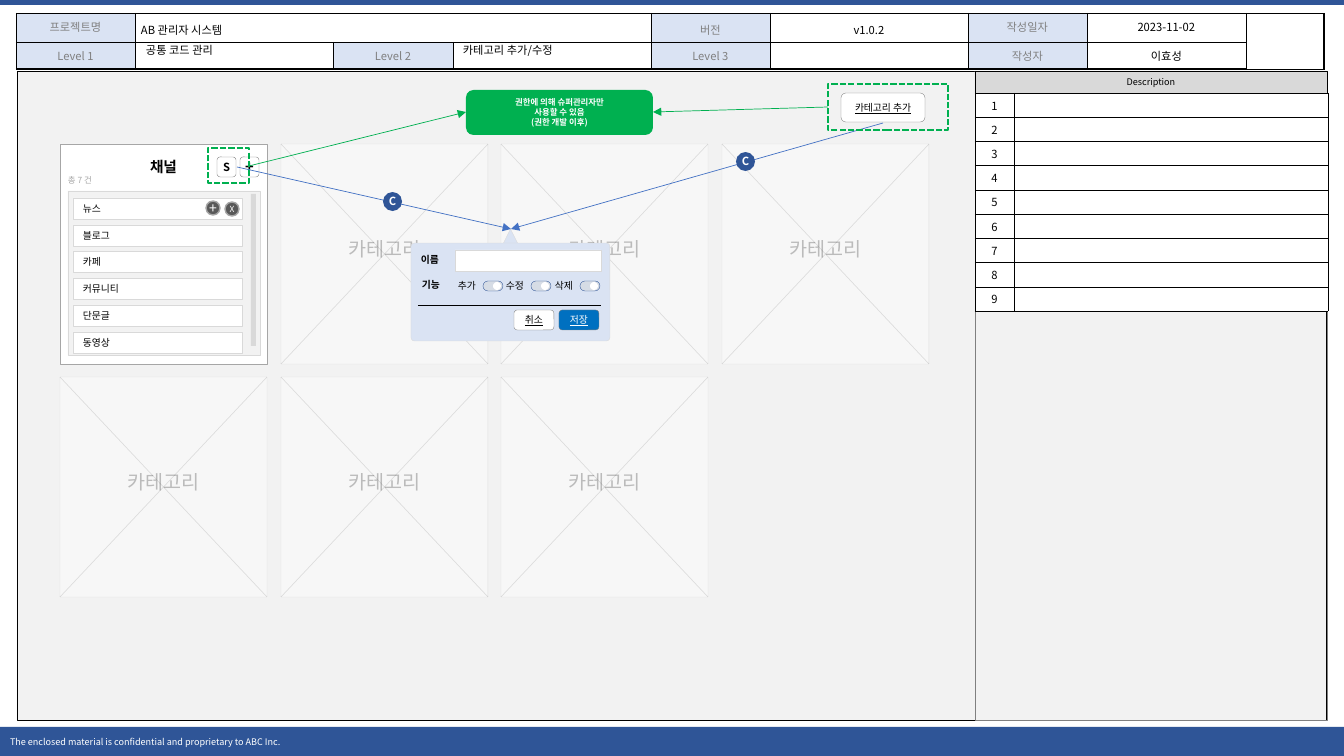
import pptx
import pptx.dml.color
import pptx.enum.dml
import pptx.enum.shapes
import pptx.enum.text
import pptx.oxml
import pptx.oxml.ns
import pptx.util
from lxml import etree

PX = 9071  # EMU in one px; the slide is 1344 x 756 px
FONT = "Noto Sans CJK KR"
qn = pptx.oxml.ns.qn
Pt = pptx.util.Pt
ALIGN = pptx.enum.text.PP_ALIGN
ANCHOR = pptx.enum.text.MSO_ANCHOR
PRESET = pptx.enum.shapes.MSO_SHAPE


def paint(fill, colour):
    """Fill with RRGGBB or RRGGBBAA; None leaves it empty."""
    if colour is None:
        fill.background()
        return
    fill.solid()
    fill.fore_color.rgb = pptx.dml.color.RGBColor.from_string(colour[:6])
    if len(colour) == 8:
        alpha = etree.SubElement(fill._xPr.find(".//" + qn("a:srgbClr")), qn("a:alpha"))
        alpha.set("val", str(round(int(colour[6:], 16) / 255 * 100) * 1000))


def write(frame, text, size, colour="000000", align=ALIGN.CENTER, anchor=ANCHOR.MIDDLE,
          inset=(4, 4), wrap=False, spacing=1.0, **font_format):
    side, end = inset[0] * PX, inset[1] * PX
    frame_format = dict(text=text, word_wrap=wrap, vertical_anchor=anchor, margin_left=side,
                        margin_right=side, margin_top=end, margin_bottom=end)
    for name, value in frame_format.items():
        setattr(frame, name, value)
    for paragraph in frame.paragraphs:
        paragraph.alignment = align
        paragraph.line_spacing = spacing
        if not text:
            etree.SubElement(paragraph._p, qn("a:endParaRPr"), sz=str(size * 100))
        for run in paragraph.runs:
            for name, value in dict(font_format, size=Pt(size), name=FONT).items():
                setattr(run.font, name, value)
            paint(run.font.fill, colour)
            etree.SubElement(run.font._element if hasattr(run.font, "_element") else run._r.rPr,
                             qn("a:ea"), typeface=FONT)


presentation = pptx.Presentation()
presentation.slide_width = 1344 * PX
presentation.slide_height = 756 * PX
slide = presentation.slides.add_slide(presentation.slide_layouts[6])

# Shared styles
KINDS = {"rect": (PRESET.RECTANGLE, None), "oval": (PRESET.OVAL, None),
         "triangle": (PRESET.ISOSCELES_TRIANGLE, None),
         "round": (PRESET.ROUNDED_RECTANGLE, 0.167),
         "panel": (PRESET.ROUNDED_RECTANGLE, 0.037), "pill": (PRESET.ROUNDED_RECTANGLE, 0.5)}
BLACK, GREY, PALE = ("000000", 0.25), ("808080", 0.25), ("D9D9D9", 0.25)
DASHED, GREEN, BLUE = ("00B050", 1.5, "dash"), ("00B050", 0.5), ("4472C4", 0.5)
LEFT = dict(align=ALIGN.LEFT, inset=(10, 5))
LABEL = dict(LEFT, size=7, anchor=ANCHOR.TOP)
BUTTON = dict(size=7, underline=True)
BADGE = dict(size=8, colour="FFFFFF", bold=True, inset=(0, 0))

# Page frame: (kind, bounds, fill, line, text, style), back to front
elements = [
    ("rect", (0, 0, 1344, 5), "2F5597", None),
    ("rect", (0, 727, 1344, 29), "2F5597", None,
     "The enclosed material is confidential and proprietary to ABC Inc.",
     dict(LEFT, size=6.5, colour="FFFFFF")),
    ("rect", (17, 71, 1309, 649), "F2F2F2", BLACK),
    ("rect", (975, 71, 352, 649), None, GREY),
    ("rect", (975, 71, 352, 22), "D9D9D9", BLACK, "Description", dict(size=6.5)),
]
for left, level in ((136, "공통 코드 관리"), (453, "카테고리 추가/수정")):
    elements.append(("text", (left, 39, 199, 24), None, None, level,
                     dict(LEFT, size=8, spacing=0.9)))

# Empty category cards on a 4 x 2 grid
for row, column in ((0, 1), (0, 2), (0, 3), (1, 0), (1, 1), (1, 2)):
    x, y = 60 + (441 * column + 1) // 2, 144 + 233 * row
    elements += [
        ("rect", (x, y, 207, 220), "FFFFFF6E", ("0000001A", 0.25)),
        ("line", (x, y, x + 207, y + 220), None, ("0000001A", 0.5)),
        ("line", (x, y + 220, x + 207, y), None, ("0000001A", 0.5)),
        ("text", (x + 57, y + 89, 93, 32), None, None, "카테고리",
         dict(size=14, colour="0000003D", anchor=ANCHOR.TOP)),
    ]

# Add button and the dialog it opens
elements += [
    ("round", (841, 93, 84, 29), "FFFFFF", GREY, "카테고리 추가", BUTTON),
    ("arrow", (883, 123, 511, 229), None, BLUE),
    ("triangle", (501, 229, 19, 19), "DAE3F3", PALE),
    ("panel", (411, 243, 199, 98), "DAE3F3", PALE),
    ("line", (418, 305, 601, 305), None, ("000000", 0.5)),
    ("round", (559, 310, 40, 20), "0070C0", GREY, "저장", dict(BUTTON, colour="FFFFFF")),
    ("round", (514, 310, 40, 20), "FFFFFF", GREY, "취소", BUTTON),
    ("rect", (455, 250, 146, 21), "FFFFFF", PALE),
    ("text", (411, 249, 40, 22), None, None, "이름", dict(LABEL, bold=True)),
    ("text", (412, 274, 40, 22), None, None, "기능", dict(LABEL, bold=True)),
    ("oval", (736, 152, 19, 19), "2F5597", None, "C", BADGE),
]
for index, permission in enumerate(("추가", "수정", "삭제")):
    x = 483 + 97 * index // 2
    elements += [
        ("pill", (x, 281, 20, 10), "D6DCE5", ("2F5597", 0.25)),
        ("pill", (x + 10, 282, 8, 8), "FFFFFF", None),
        ("text", (x - 35, 275, 40, 22), None, None, permission, LABEL),
    ]

# Permission note and channel card
elements += [
    ("round", (466, 90, 187, 45), "00B050", None,
     "권한에 의해 슈퍼관리자만\n사용할 수 있음\v(권한 개발 이후)", dict(BADGE, size=6)),
    ("rect", (828, 84, 120, 46), None, DASHED),
    ("rect", (60, 144, 207, 220), "FFFFFF", ("A6A6A6", 0.25)),
    ("text", (96, 153, 135, 28), None, None, "채널",
     dict(size=10.5, bold=True, inset=(10, 5), anchor=ANCHOR.TOP)),
    ("rect", (68, 191, 192, 164), "F2F2F2", PALE),
    ("rect", (251, 194, 5, 152), "D9D9D9", None),
]
for index, channel in enumerate(("뉴스", "블로그", "카페", "커뮤니티", "단문글", "동영상")):
    elements.append(("rect", (73, round(198 + 26.7 * index), 169, 21), "FFFFFF", PALE,
                     channel, dict(LEFT, size=7)))
elements += [
    ("text", (58, 170, 50, 20), None, None, "총 7 건", dict(LABEL, size=6, colour="A6A6A6")),
    ("round", (240, 157, 19, 20), "FFFFFF", GREY, "+", dict(size=10.5, bold=True)),
    ("oval", (225, 202, 14, 14), "595959", ("A6A6A6", 1), "X",
     dict(size=6, colour="FFFFFF", inset=(0, 0))),
    ("oval", (206, 201, 14, 14), "595959", ("A6A6A6", 1), "+",
     dict(size=10, colour="FFFFFF", inset=(0, 0))),
    ("round", (217, 157, 19, 20), "FFFFFF", GREY, "S", dict(size=8, bold=True)),
    ("rect", (208, 148, 41, 35), None, DASHED),
    ("arrow", (249, 166, 466, 112), None, GREEN),
    ("arrow", (237, 167, 511, 229), None, BLUE),
    ("oval", (383, 192, 19, 19), "2F5597", None, "C", BADGE),
    ("arrow", (828, 107, 653, 112), None, GREEN),
]

# Draw the shapes
for kind, bounds, fill, line, *content in elements:
    bounds = [length * PX for length in bounds]
    if kind in ("line", "arrow"):
        shape = slide.shapes.add_connector(pptx.enum.shapes.MSO_CONNECTOR.STRAIGHT, *bounds)
    elif kind == "text":
        shape = slide.shapes.add_textbox(*bounds)
    else:
        preset, corner = KINDS[kind]
        shape = slide.shapes.add_shape(preset, *bounds)
        shape.shadow.inherit = False
        if corner:
            shape.adjustments[0] = corner
        paint(shape.fill, fill)
    paint(shape.line.fill, line and line[0])
    if line:
        shape.line.width = Pt(line[1])
        if "dash" in line:
            shape.line.dash_style = pptx.enum.dml.MSO_LINE.SQUARE_DOT
    if kind == "arrow":
        etree.SubElement(shape.line._get_or_add_ln(), qn("a:tailEnd"), type="triangle")
    if kind in ("line", "arrow"):
        etree.SubElement(shape._element.spPr, qn("a:effectLst"))
    if content:
        write(shape.text_frame, content[0], **content[1])

# Tables: position, columns, rows, texts, label fill, label colour, value fill, anchor, inset, edge
header_texts = [
    ["프로젝트명", "AB 관리자 시스템", "", "", "버전", "v1.0.2", "작성일자", "2023-11-02", ""],
    ["Level 1", "", "Level 2", "", "Level 3", "", "작성자", "이효성", ""],
]
tables = [
    ((16, 13), (119, 198, 120, 198, 119, 198, 119, 159, 78), (29, 27), header_texts,
     "DAE3F3", "808080", None, ANCHOR.TOP, (6, 5), 1.5),
    ((975, 93), (39, 314), (218 / 9,) * 9, [[str(number), ""] for number in range(1, 10)],
     "FFFFFF", "000000", "FFFFFF", ANCHOR.MIDDLE, (4, 4), 0.25),
]
for (x, y), columns, rows, texts, shade, grey, plain, anchor, inset, edge in tables:
    table = slide.shapes.add_table(len(rows), len(columns), x * PX, y * PX,
                                   sum(columns) * PX, round(sum(rows) * PX)).table
    table.first_row = table.horz_banding = False
    for column, width in enumerate(columns):
        table.columns[column].width = width * PX
    for row, height in enumerate(rows):
        table.rows[row].height = round(height * PX)
        for column, text in enumerate(texts[row]):
            cell = table.cell(row, column)
            label = column % 2 == 0 and text
            title = text == header_texts[0][1]
            tall = text in header_texts[0][1:6]
            write(cell.text_frame, text, 8, grey if label else "000000",
                  ALIGN.LEFT if title else ALIGN.CENTER, inset=inset, wrap=True,
                  spacing=1.2 if tall and text else 1.0)
            cell.vertical_anchor = anchor
            cell.margin_left = cell.margin_right = inset[0] * PX
            cell.margin_top = cell.margin_bottom = inset[1] * PX
            outer = {"R": column == len(columns) - 1, "B": row == len(rows) - 1}
            for side in "LRTB":
                width = edge if outer.get(side) else 0.25
                border = etree.SubElement(cell._tc.get_or_add_tcPr(), qn("a:ln" + side),
                                          w=str(Pt(width)))
                solid = etree.SubElement(border, qn("a:solidFill"))
                etree.SubElement(solid, qn("a:srgbClr"), val="000000")
            paint(cell.fill, shade if label else plain)
    if texts is header_texts:
        table.cell(0, 1).merge(table.cell(0, 3))
        table.cell(0, 8).merge(table.cell(1, 8))

presentation.save("out.pptx")
